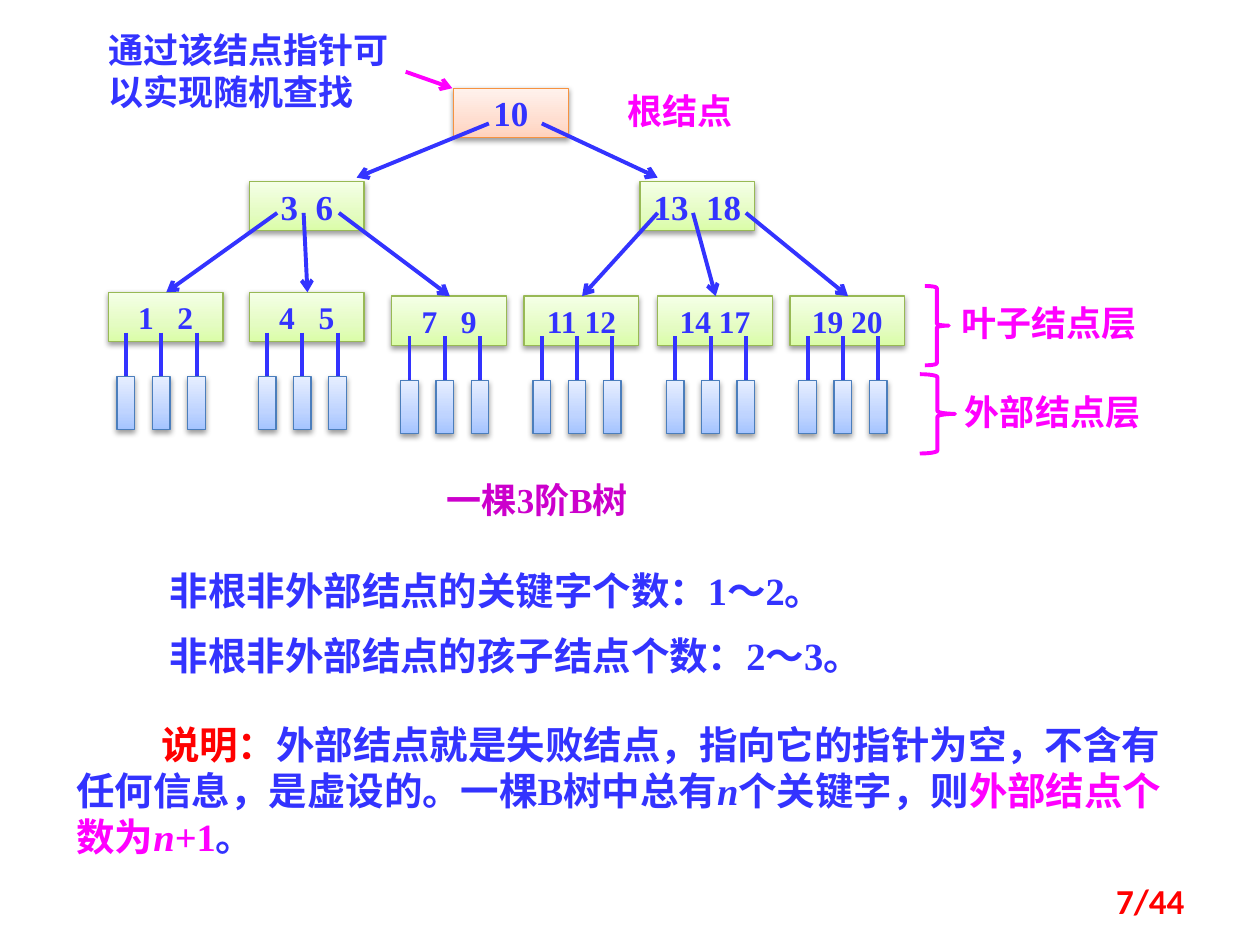
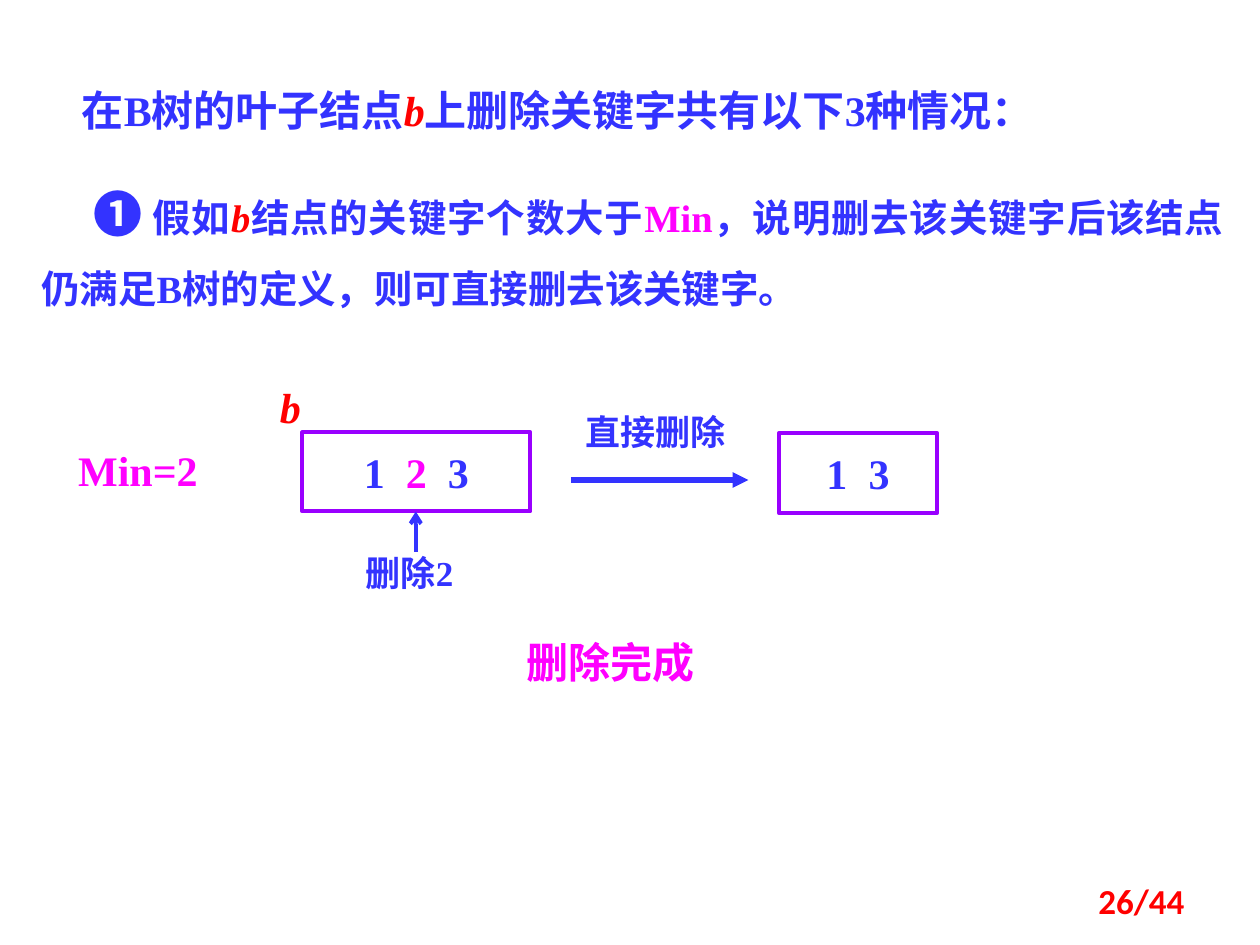
from copy import deepcopy

from pptx import Presentation
from pptx.dml.color import RGBColor
from pptx.enum.shapes import MSO_CONNECTOR, MSO_SHAPE as Preset
from pptx.enum.text import MSO_ANCHOR as Anchor, MSO_AUTO_SIZE as AutoSize, PP_ALIGN as Align
from pptx.oxml import parse_xml
from pptx.oxml.ns import nsdecls, qn
from pptx.oxml.xmlchemy import OxmlElement
from pptx.util import Pt

PX = 9144
BLUE, RED, PINK, PURPLE, VIOLET, WHITE = "3333FF", "FF0000", "FF00FF", "CC00CC", "9900FF", "FFFFFF"
SERIF, SANS, FOOTER = "Times New Roman", "Noto Sans CJK SC", "Calibri"
ORANGE_STYLE = (("FFD2BD", "FFDED0", "FFF2ED"), "F69240")
GREEN_STYLE = (("DAFDA7", "E4FCC2", "F5FFE7"), "98B955")
BLUE_STYLE = (("A4C4FF", "BFD4FF", "E6EEFF"), "4B7EBC")
TITLE_ONLY, BLANK = 5, 6


def rgb(color):
    return RGBColor.from_string(color)


def emu(*lengths):
    return [length * PX for length in lengths]


def spaced_keys(first, *others, gap=0):
    spans = [first]
    for key in others:
        spans += [(" ", {"gap": gap}), key]
    return spans


class Painter:
    def __init__(self):
        self.deck = Presentation()
        self.deck.slide_width, self.deck.slide_height = emu(1000, 750)
        self.page = None

    def new_page(self, layout, number):
        self.page = self.deck.slides.add_slide(self.deck.slide_layouts[layout])
        self.text((717, 695, 233, 40), [[f"{number}/44"]], color=RED, font=FOOTER,
                  align=Align.RIGHT, anchor=Anchor.MIDDLE)

    def fill_text(self, shape, paragraphs, size=20, color=BLUE, font=SERIF, align=Align.LEFT,
                  anchor=Anchor.TOP, inset=True, wrap=True, before=0, indent=0, leading=None):
        frame = shape.text_frame
        frame.word_wrap = wrap
        frame.auto_size = AutoSize.NONE
        frame.vertical_anchor = anchor
        across, down = (10, 5) if inset else (0, 0)
        frame.margin_left, frame.margin_right = emu(across, across)
        frame.margin_top, frame.margin_bottom = emu(down, down)
        for index, spans in enumerate(paragraphs):
            para = frame.add_paragraph() if index else frame.paragraphs[0]
            para.alignment = align
            para.space_before = Pt(before if index else 0)
            if leading:
                para.line_spacing = leading
            properties = para._p.get_or_add_pPr()
            if indent:
                properties.set("indent", str(indent * PX))
            para.font.name = font
            para.font.size = Pt(size)
            para.font.bold = True
            para.font.color.rgb = rgb(color)
            east_asian = OxmlElement("a:ea")
            east_asian.set("typeface", SANS)
            properties.find(qn("a:defRPr")).append(east_asian)
            for span in spans:
                self.span(para, *([span] if isinstance(span, str) else span))

    def span(self, para, content, style=None):
        style = style or {}
        run = para.add_run()
        run.text = content
        if "color" in style:
            run.font.color.rgb = rgb(style["color"])
        if "size" in style:
            run.font.size = Pt(style["size"])
        if "italic" in style:
            run.font.italic = style["italic"]
        if style.get("gap"):
            run._r.get_or_add_rPr().set("spc", str(style["gap"] * 100))

    def title(self, area, spans, **style):
        title = self.page.shapes.title
        title.left, title.top, title.width, title.height = emu(*area)
        self.fill_text(title, [spans], **style)

    def text(self, area, paragraphs, **style):
        self.fill_text(self.page.shapes.add_textbox(*emu(*area)), paragraphs, **style)

    def outline(self, area, preset=Preset.RECTANGLE, line=None, width=2.25):
        shape = self.page.shapes.add_shape(preset, *emu(*area))
        shape.shadow.inherit = False
        shape.fill.background()
        if line:
            shape.line.color.rgb = rgb(line)
            shape.line.width = Pt(width)
        else:
            shape.line.fill.background()
        return shape

    def panel(self, area, spans, line=None, **style):
        shape = self.outline(area, line=line)
        shape.fill.solid()
        shape.fill.fore_color.rgb = rgb(WHITE)
        self.fill_text(shape, [spans], **style)

    def node(self, area, look, spans=None, size=20):
        colors, line = look
        shape = self.outline(area, line=line, width=0.75)
        shape.fill.gradient()
        shape.fill.gradient_angle = 90
        properties = shape._element.spPr
        stops = properties.find(".//" + qn("a:gsLst"))
        stops.insert(1, deepcopy(stops[0]))
        for stop, color, position in zip(shape.fill.gradient_stops, colors, (0, 0.35, 1)):
            stop.color.rgb = rgb(color)
            stop.position = position
        properties.find(qn("a:effectLst")).append(parse_xml(
            f'<a:outerShdw {nsdecls("a")} blurRad="40000" dist="20000" dir="5400000" rotWithShape="0">'
            '<a:srgbClr val="000000"><a:alpha val="38000"/></a:srgbClr></a:outerShdw>'))
        if spans:
            self.fill_text(shape, [spans], size=size, align=Align.CENTER, anchor=Anchor.MIDDLE)

    def line(self, start, end, color=BLUE, width=2.25, head=None):
        line = self.page.shapes.add_connector(MSO_CONNECTOR.STRAIGHT, *emu(*start, *end))
        line.line.color.rgb = rgb(color)
        line.line.width = Pt(width)
        if head:
            arrow = OxmlElement("a:tailEnd")
            arrow.set("type", head)
            line.line._get_or_add_ln().append(arrow)
        line._element.spPr.append(OxmlElement("a:effectLst"))

    def leaf(self, left, top, spans):
        self.node((left, top, 91, 39), GREEN_STYLE, spans, size=18)
        for offset in (14, 42, 70):
            middle = left + offset
            self.line((middle, top + 32), (middle, top + 67))
            self.node((middle - 7, top + 67, 14, 42), BLUE_STYLE)

    def layer(self, brace, label, name):
        self.panel(label, [name], color=PINK, font=SANS)
        self.outline(brace, Preset.RIGHT_BRACE, PINK)


def draw_tree(painter):
    painter.new_page(BLANK, 7)
    painter.text((313, 375, 227, 44), [["一棵3阶B树"]], color=PURPLE, align=Align.CENTER)
    painter.text((125, 445, 719, 103),
                 [["非根非外部结点的关键字个数：1～2。"], ["非根非外部结点的孩子结点个数：2～3。"]],
                 size=22, before=11)
    painter.text((51, 567, 906, 125), [[
        ("说明：", {"color": RED}),
        "外部结点就是失败结点，指向它的指针为空，不含有任何信息，是虚设的。一棵B树中总有",
        ("n", {"italic": True}), "个关键字，则",
        ("外部结点个数为", {"color": PINK}),
        ("n", {"color": PINK, "italic": True}), ("+1", {"color": PINK}), "。"]],
        size=22, indent=67)
    painter.text((86, 23, 236, 67), [["通过该结点指针可以实现随机查找"]], inset=False)
    painter.line((322, 57), (359, 70), PINK, head="arrow")
    painter.panel((477, 66, 125, 44), ["根结点"], color=PINK, font=SANS, align=Align.CENTER)

    painter.node((360, 70, 91, 39), ORANGE_STYLE, ["10"])
    leaves = (
        (86, 232, spaced_keys("1", "2", gap=9)),
        (198, 232, spaced_keys("4", "5", gap=9)),
        (311, 235, spaced_keys("7", "9", gap=9)),
        (416, 235, ["11 12"]),
        (522, 235, ["14 17"]),
        (627, 235, ["19 20"]),
    )
    for left, top, spans in leaves:
        painter.leaf(left, top, spans)
    for left, keys in ((198, ("3", "6")), (508, ("13", "18"))):
        painter.node((left, 144, 91, 39), GREEN_STYLE, spaced_keys(*keys, gap=5))

    for start, end in ((388, 283), (430, 522)):
        painter.line((start, 98), (end, 141), head="arrow")
    for start, (left, top, _) in zip((220, 241, 269, 522, 550, 592), leaves):
        painter.line((start, 169), (left + 46, top), head="arrow")

    painter.layer((734, 227, 19, 63), (753, 234, 184, 44), "叶子结点层")
    painter.layer((730, 297, 28, 63), (756, 305, 185, 44), "外部结点层")


def draw_deletion(painter):
    painter.new_page(TITLE_ONLY, 26)
    key_name = ("b", {"color": RED, "italic": True})
    painter.title((55, 62, 898, 50),
                  ["在B树的叶子结点", key_name, "上删除关键字共有以下3种情况："], size=24)
    painter.text((23, 117, 958, 136), [[
        ("❶", {"size": 28}), " 假如", key_name, "结点的关键字个数大于", ("Min", {"color": PINK}),
        "，说明删去该关键字后该结点仍满足B树的定义，则可直接删去该关键字。"]],
        size=22, align=Align.JUSTIFY, indent=41, leading=1.5)

    centred = {"align": Align.CENTER}
    boxed = {"line": VIOLET, "size": 24, "anchor": Anchor.MIDDLE, "wrap": False, **centred}
    wide_space = (" ", {"gap": 6})
    painter.panel((240, 343, 181, 63),
                  ["1", wide_space, ("2", {"color": PINK}), wide_space, "3"], **boxed)
    painter.panel((618, 344, 126, 63), spaced_keys("1", "3", gap=6), **boxed)
    painter.text((195, 303, 71, 40), [[key_name]], size=24, inset=False, **centred)
    painter.line((453, 381), (594, 381), width=3, head="triangle")
    painter.text((453, 326, 134, 33), [["直接删除"]], font=SANS, inset=False, **centred)
    painter.text((258, 438, 134, 33), [["删除2"]], inset=False, **centred)
    painter.line((330, 438), (330, 406), head="arrow")
    painter.text((39, 348, 141, 50), [["Min=2"]], size=24, color=PINK, **centred)
    painter.text((375, 500, 219, 50), [["删除完成"]], size=24, color=PINK, font=SANS, **centred)


def main():
    painter = Painter()
    draw_tree(painter)
    draw_deletion(painter)
    painter.deck.save("out.pptx")


if __name__ == "__main__":
    main()
